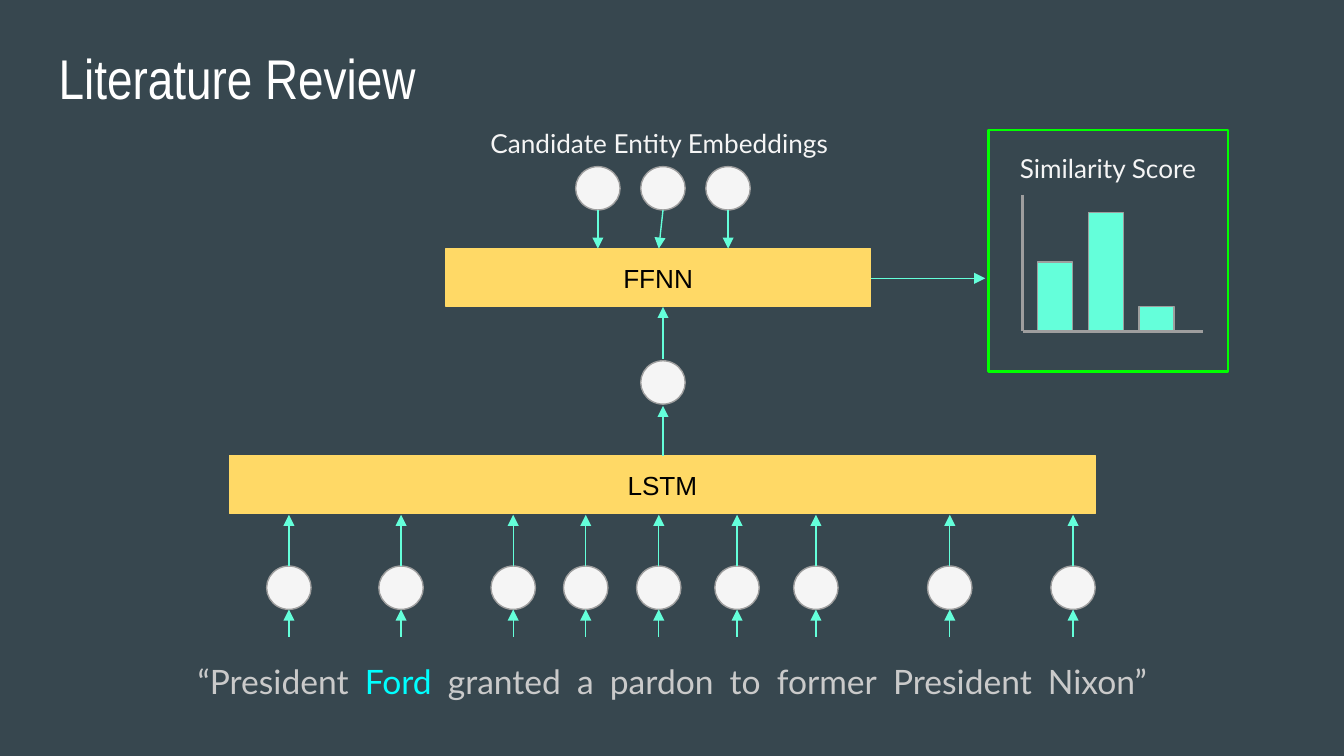
from lxml import etree
from pptx import Presentation
from pptx.dml.color import RGBColor
from pptx.enum.shapes import MSO_CONNECTOR, MSO_SHAPE
from pptx.enum.text import MSO_ANCHOR, MSO_AUTO_SIZE, PP_ALIGN
from pptx.oxml.ns import qn
from pptx.util import Cm, Pt

STRAIGHT = MSO_CONNECTOR.STRAIGHT
RECTANGLE, OVAL = MSO_SHAPE.RECTANGLE, MSO_SHAPE.OVAL
TOP, MIDDLE = MSO_ANCHOR.TOP, MSO_ANCHOR.MIDDLE
LEFT, CENTER = PP_ALIGN.LEFT, PP_ALIGN.CENTER
NO_AUTOFIT = MSO_AUTO_SIZE.NONE

COLORS = {
    "background": "37474F",
    "title": "FFFFFF",
    "label": "F5F5F5",
    "sentence": "CACACA",
    "mention": "00FFFF",
    "node": "F5F5F5",
    "outline": "9E9E9E",
    "layer": "FFD966",
    "layer_text": "000000",
    "accent": "64FFDA",
    "frame": "00FF00",
}

NODE_WIDTH, NODE_HEIGHT = 0.84, 0.82

# Each word of the sentence and the centre of its input node, in cm
WORDS = [
    ("“President", 5.46), ("Ford", 7.58), ("granted", 9.7),
    ("a", 11.07), ("pardon", 12.45), ("to", 13.93),
    ("former", 15.42), ("President", 17.95), ("Nixon”", 20.28),
]
MENTION = "Ford"


def rgb(name):
    return RGBColor.from_string(COLORS[name])


def format_font(font, size, face, color):
    font.size = Pt(size)
    font.name = face
    font.color.rgb = rgb(color)


def format_frame(frame, anchor, align):
    frame.word_wrap = True
    frame.auto_size = NO_AUTOFIT
    frame.vertical_anchor = anchor
    frame.margin_left = frame.margin_right = Cm(0.25)
    frame.margin_top = frame.margin_bottom = Cm(0.25)
    frame.paragraphs[0].alignment = align


def add_box(slide, kind, left, top, width, height, fill, line, weight=0.75):
    box = slide.shapes.add_shape(kind, Cm(left), Cm(top), Cm(width), Cm(height))
    box.shadow.inherit = False
    if fill:
        box.fill.solid()
        box.fill.fore_color.rgb = rgb(fill)
    else:
        box.fill.background()
    box.line.color.rgb = rgb(line)
    box.line.width = Pt(weight)
    return box


def add_node(slide, center, top):
    add_box(slide, OVAL, center - NODE_WIDTH / 2, top,
            NODE_WIDTH, NODE_HEIGHT, "node", "outline")


def add_layer(slide, name, left, top, width, height):
    layer = add_box(slide, RECTANGLE, left, top, width, height, "layer", "layer")
    layer.text_frame.text = name
    format_frame(layer.text_frame, MIDDLE, CENTER)
    format_font(layer.text_frame.paragraphs[0].runs[0].font, 14, "Arial", "layer_text")


def add_line(slide, start, end, color, weight):
    line = slide.shapes.add_connector(
        STRAIGHT, Cm(start[0]), Cm(start[1]), Cm(end[0]), Cm(end[1]))
    line.line.color.rgb = rgb(color)
    line.line.width = Pt(weight)
    etree.SubElement(line._element.spPr, qn("a:effectLst"))
    return line


def add_arrow(slide, start, end):
    arrow = add_line(slide, start, end, "accent", 0.75)
    etree.SubElement(arrow.line._get_or_add_ln(), qn("a:tailEnd"), type="triangle")


def add_label(slide, text, left, top, width, height):
    frame = slide.shapes.add_textbox(
        Cm(left), Cm(top), Cm(width), Cm(height)).text_frame
    frame.text = text
    format_frame(frame, TOP, CENTER)
    format_font(frame.paragraphs[0].runs[0].font, 14, "Lato", "label")


def add_title(slide, text):
    title = slide.shapes.title
    title.left, title.top = Cm(0.86), Cm(0.58)
    title.width, title.height = Cm(23.67), Cm(1.6)
    title.text_frame.text = text
    format_frame(title.text_frame, TOP, LEFT)
    format_font(title.text_frame.paragraphs[0].runs[0].font, 30, "Arial Narrow", "title")


def add_sentence(slide):
    frame = slide.shapes.add_textbox(
        Cm(2.29), Cm(11.86), Cm(20.83), Cm(1.9)).text_frame
    format_frame(frame, MIDDLE, CENTER)
    paragraph = frame.paragraphs[0]
    paragraph.line_spacing = 1.15
    paragraph.space_after = Pt(16)
    for index, (word, _) in enumerate(WORDS):
        if index:
            # Widened space between words
            gap = paragraph.add_run()
            gap.text = " "
            format_font(gap.font, 18, "Lato", "sentence")
            gap.font._element.set("spc", "400")
        run = paragraph.add_run()
        run.text = word
        format_font(run.font, 18, "Lato",
                    "mention" if word == MENTION else "sentence")


def add_encoder(slide):
    # One input node per word, feeding the LSTM
    node_top = 10.7
    node_bottom = node_top + NODE_HEIGHT
    add_layer(slide, "LSTM", 4.34, 8.61, 16.36, 1.1)
    for _, center in WORDS:
        add_node(slide, center, node_top)
        add_arrow(slide, (center, 12.04), (center, node_bottom))
        add_arrow(slide, (center, node_top), (center, 9.73))


def add_scorer(slide):
    # Candidate embeddings and the encoded sentence feed the FFNN
    middle, candidate_gap = 12.53, 1.23
    candidate_top, ffnn_top = 3.15, 4.7
    add_layer(slide, "FFNN", 8.43, ffnn_top, 8.02, 1.1)
    for step, drift in ((-1, 0), (0, -0.08), (1, 0)):
        center = middle + step * candidate_gap
        add_node(slide, center, candidate_top)
        add_arrow(slide, (center, candidate_top + NODE_HEIGHT),
                  (center + drift, ffnn_top))
    add_node(slide, middle, 6.82)
    add_arrow(slide, (middle, 8.61), (middle, 7.67))
    add_arrow(slide, (middle, 6.78), (middle, 5.8))
    add_arrow(slide, (16.46, 5.26), (18.62, 5.26))
    add_label(slide, "Candidate Entity Embeddings", 8.46, 2.16, 8, 0.99)


def add_similarity_score(slide):
    # Sketched bar graph inside a frame
    origin, baseline = 19.33, 6.26
    add_line(slide, (origin, 3.68), (origin, baseline), "outline", 1.5)
    add_line(slide, (22.73, baseline), (origin, baseline), "outline", 1.5)
    for index, height in enumerate((1.31, 2.24, 0.46)):
        add_box(slide, RECTANGLE, 19.61 + index * 0.96, baseline - height,
                0.66, height, "accent", "outline")
    add_label(slide, "Similarity Score", 18.44, 2.64, 5, 0.99)
    add_box(slide, RECTANGLE, 18.69, 2.46, 4.52, 4.57, None, "frame", 1.5)


def main():
    deck = Presentation()
    deck.slide_width, deck.slide_height = Cm(25.4), Cm(14.29)
    slide = deck.slides.add_slide(deck.slide_layouts[5])
    slide.background.fill.solid()
    slide.background.fill.fore_color.rgb = rgb("background")

    add_title(slide, "Literature Review")
    add_sentence(slide)
    add_encoder(slide)
    add_scorer(slide)
    add_similarity_score(slide)
    deck.save("out.pptx")


if __name__ == "__main__":
    main()
